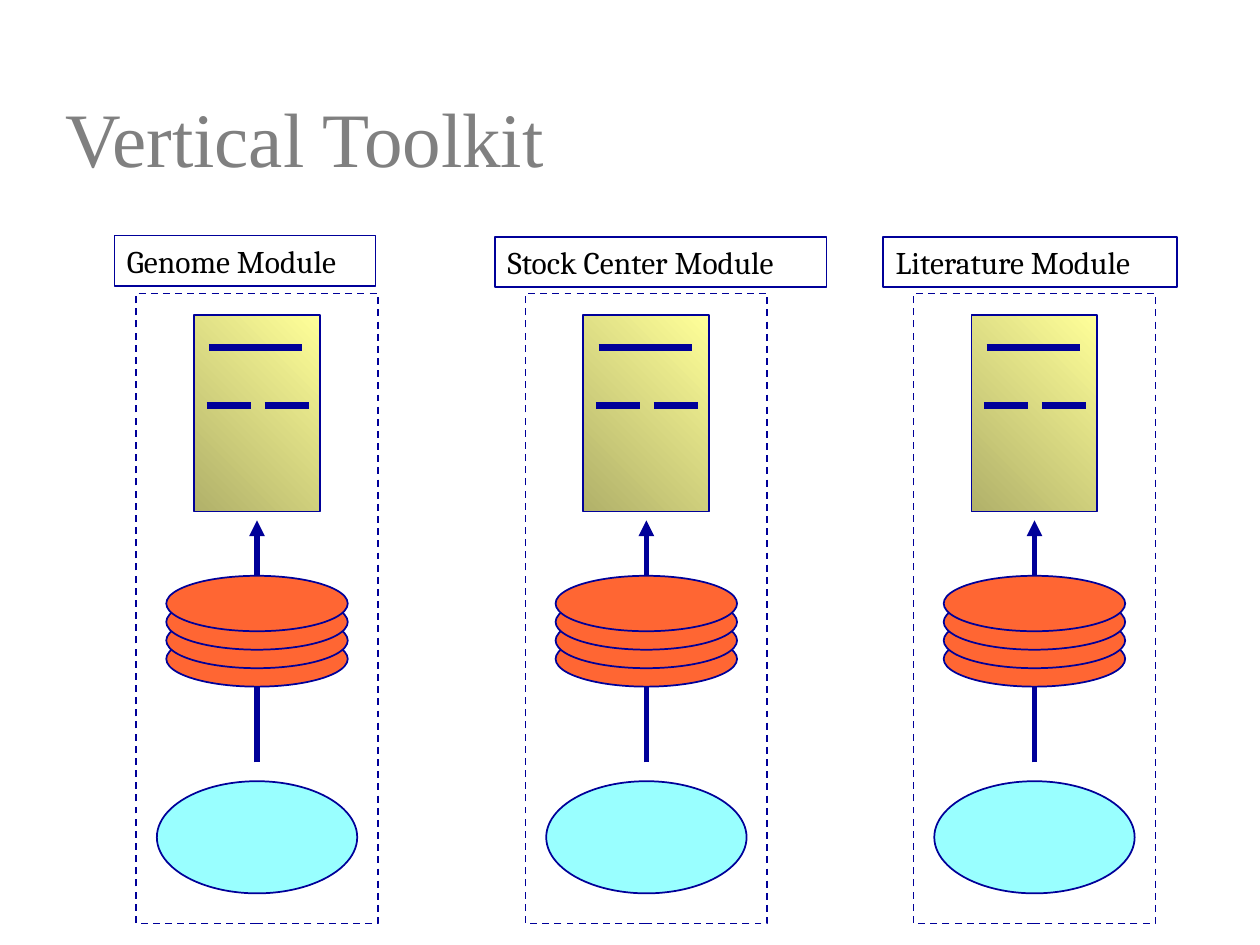
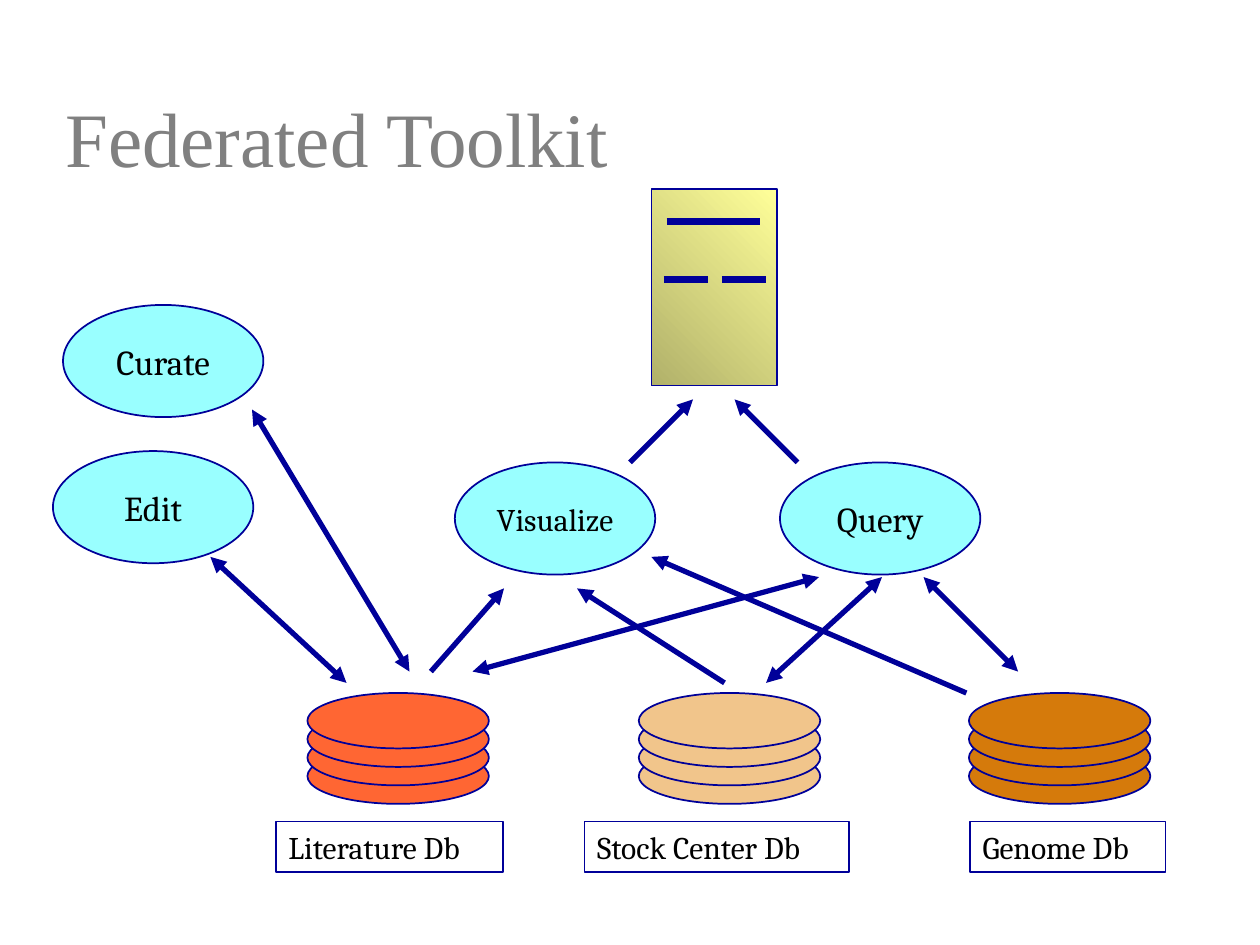
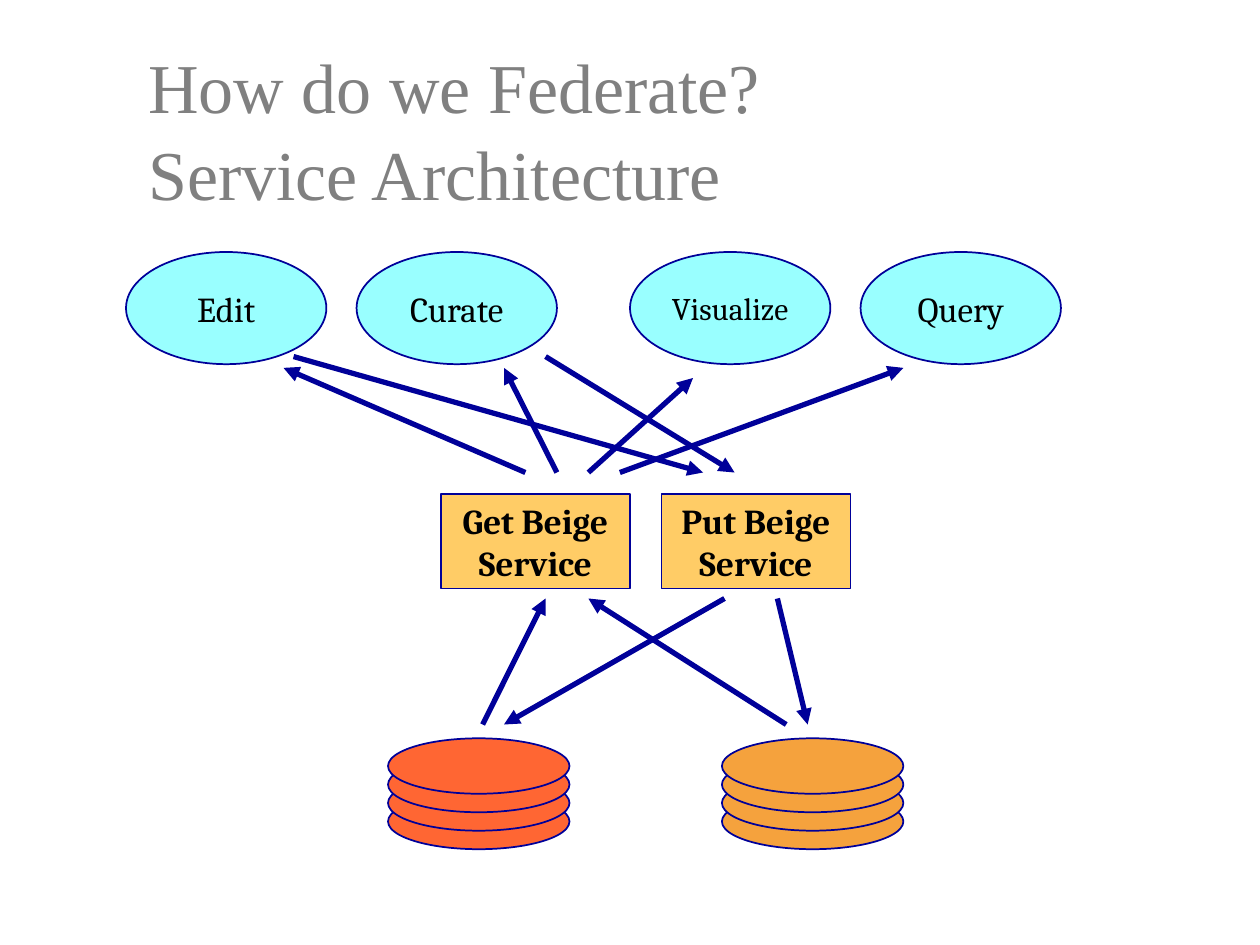
import pptx
import pptx.util
import pptx.dml.color
import pptx.enum.dml
import pptx.enum.shapes
import pptx.enum.text
import pptx.oxml
import pptx.oxml.ns

Inches = pptx.util.Inches
Pt = pptx.util.Pt
RGB = pptx.dml.color.RGBColor.from_string
MSO_SHAPE = pptx.enum.shapes.MSO_SHAPE
ANCHOR = pptx.enum.text.MSO_ANCHOR
ALIGN = pptx.enum.text.PP_ALIGN


class Theme:
    title_font, body_font = "Times New Roman", "Cambria"
    title_color, text_color, line_color = "808080", "000000", "000099"
    oval, service = "99FFFF", "FFCC66"
    red, sand, brown, orange = "FF6633", "F1C58B", "D57A0B", "F5A23D"
    server_light, server_dark = "FFFF99", "B1B16A"
    label_size, oval_size = 18, 20
    outline, arrow, stroke = 1, 3, 4
    title_spacing = 1.04


OVAL_W, OVAL_H = 1.59, 0.89
DISK_W, DISK_H, DISK_COUNT = 1.44, 0.44, 4
SERVER_W, SERVER_H = 1, 1.56
SERVER_STROKES = [(0.12, 0.86, 0.26), (0.1, 0.45, 0.72), (0.56, 0.91, 0.72)]


def add_box(s, kind, at, fill=None, text="", size=Theme.label_size,
            bold=False, centred=True):
    """Outlined shape, unfilled without a colour, with optional text."""
    sp = s.shapes.add_shape(kind, *map(Inches, at))
    sp.shadow.inherit = False
    sp.line.color.rgb = RGB(Theme.line_color)
    sp.line.width = Pt(Theme.outline)
    if fill:
        sp.fill.solid()
        sp.fill.fore_color.rgb = RGB(fill)
    else:
        sp.fill.background()
    if text:
        tf = sp.text_frame
        tf.text = text
        tf.word_wrap = not centred
        tf.vertical_anchor = ANCHOR.MIDDLE if centred else ANCHOR.TOP
        for p in tf.paragraphs:
            p.alignment = ALIGN.CENTER if centred else ALIGN.LEFT
            p.font.name = Theme.body_font
            p.font.size = Pt(size)
            p.font.bold = bold
            p.font.color.rgb = RGB(Theme.text_color)
    return sp


def add_line(s, points, width, ends=()):
    """Straight line; ends names the ends (headEnd, tailEnd) with arrowheads."""
    c = s.shapes.add_connector(pptx.enum.shapes.MSO_CONNECTOR.STRAIGHT,
                               *map(Inches, points))
    c.line.color.rgb = RGB(Theme.line_color)
    c.line.width = Pt(width)
    ln = c.line._get_or_add_ln()
    for end in ends:
        head = pptx.oxml.parse_xml(f'<a:{end} {pptx.oxml.ns.nsdecls("a")} type="triangle"/>')
        ln.append(head)
    effects = pptx.oxml.parse_xml(f'<a:effectLst {pptx.oxml.ns.nsdecls("a")}/>')
    ln.addnext(effects)


centers = [2.04, 5.13, 8.21]

# Arrows run from the first point to the second; two_way ones point at both.
slides = [
    dict(
        title=("Vertical Toolkit", 44, (0.42, 0.29, 8.75, 1.21)),
        frames=[(x - 0.96, 2.33, 1.92, 5) for x in centers],
        arrows=[(x, 6.05, x, 4.13) for x in centers],
        disks=[(x - DISK_W / 2, 4.57, Theme.red) for x in centers],
        servers=[(x - SERVER_W / 2, 2.5) for x in centers],
        ovals=[(x - OVAL_W / 2, 6.2, "", Theme.oval_size) for x in centers],
        labels=[(0.91, 1.87, 2.07, "Genome Module"),
                (3.93, 1.88, 2.63, "Stock Center Module"),
                (7.01, 1.88, 2.33, "Literature Module")],
    ),
    dict(
        title=("Federated Toolkit", 44, (0.42, 0.29, 8.75, 1.21)),
        arrows=[(5.75, 5.42, 4.58, 4.67), (7.67, 5.5, 5.17, 4.42),
                (6.33, 3.67, 5.83, 3.17), (5, 3.67, 5.5, 3.17),
                (3.42, 5.33, 4, 4.67)],
        two_way=[(3.25, 5.33, 2, 3.25), (2.75, 5.42, 1.67, 4.42),
                 (6.5, 4.58, 3.75, 5.33), (7, 4.58, 6.08, 5.42),
                 (7.33, 4.58, 8.08, 5.33)],
        disks=[(2.44, 5.5, Theme.red), (5.07, 5.5, Theme.sand),
               (7.69, 5.5, Theme.brown)],
        servers=[(5.17, 1.5)],
        ovals=[(3.61, 3.67, "Visualize", Theme.label_size),
               (6.19, 3.67, "Query", Theme.oval_size),
               (0.5, 2.42, "Curate", Theme.oval_size),
               (0.42, 3.58, "Edit", Theme.oval_size)],
        labels=[(2.19, 6.52, 1.8, "Literature Db"),
                (4.64, 6.52, 2.1, "Stock Center Db"),
                (7.7, 6.52, 1.55, "Genome Db")],
    ),
    dict(
        title=("How do we Federate?\nService Architecture", 40,
               (1.08, 0.33, 8.5, 1.42)),
        arrows=[(3.83, 5.75, 4.33, 4.75), (6.17, 4.75, 6.41, 5.75),
                (2.33, 2.83, 5.58, 3.75), (4.17, 3.75, 2.25, 2.92),
                (6.24, 5.75, 4.67, 4.75), (5.75, 4.75, 4, 5.75),
                (4.33, 2.83, 5.83, 3.75), (4.42, 3.75, 4, 2.92),
                (4.67, 3.75, 5.5, 3), (4.92, 3.75, 7.17, 2.92)],
        disks=[(3.08, 5.86, Theme.red), (5.73, 5.86, Theme.orange)],
        ovals=[(1, 2, "Edit", Theme.oval_size),
               (2.83, 2, "Curate", Theme.oval_size),
               (5, 2, "Visualize", Theme.label_size),
               (6.83, 2, "Query", Theme.oval_size)],
        services=[(3.5, "Get Beige\nService"), (5.25, "Put Beige\nService")],
    ),
]

prs = pptx.Presentation()
prs.slide_width, prs.slide_height = Inches(10), Inches(7.5)

for content in slides:
    s = prs.slides.add_slide(prs.slide_layouts[6])

    text, size, at = content["title"]
    tf = s.shapes.add_textbox(*map(Inches, at)).text_frame
    tf.word_wrap = True
    tf.vertical_anchor = ANCHOR.BOTTOM
    tf.text = text
    for p in tf.paragraphs:
        p.line_spacing = Theme.title_spacing
        p.font.name = Theme.title_font
        p.font.size = Pt(size)
        p.font.color.rgb = RGB(Theme.title_color)

    for at in content.get("frames", []):
        frame = add_box(s, MSO_SHAPE.RECTANGLE, at)
        frame.line.dash_style = pptx.enum.dml.MSO_LINE.DASH

    for points in content["arrows"]:
        add_line(s, points, Theme.arrow, ["tailEnd"])
    for points in content.get("two_way", []):
        add_line(s, points, Theme.arrow, ["headEnd", "tailEnd"])

    for x, y, color in content["disks"]:
        for i in reversed(range(DISK_COUNT)):
            top = y + i * DISK_H / (DISK_COUNT - 1)
            add_box(s, MSO_SHAPE.OVAL, (x, top, DISK_W, DISK_H), color)

    for x, y in content.get("servers", []):
        server = add_box(s, MSO_SHAPE.RECTANGLE, (x, y, SERVER_W, SERVER_H))
        server.fill.gradient()
        server.fill.gradient_angle = 225
        shades = (Theme.server_light, Theme.server_dark)
        for stop, color in zip(server.fill.gradient_stops, shades):
            stop.color.rgb = RGB(color)
        for left, right, down in SERVER_STROKES:
            add_line(s, (x + left, y + down, x + right, y + down), Theme.stroke)

    for x, y, text, size in content["ovals"]:
        add_box(s, MSO_SHAPE.OVAL, (x, y, OVAL_W, OVAL_H), Theme.oval, text, size)

    for x, text in content.get("services", []):
        add_box(s, MSO_SHAPE.RECTANGLE, (x, 3.92, 1.5, 0.75), Theme.service,
                text, Theme.oval_size, bold=True)

    for x, y, w, text in content.get("labels", []):
        add_box(s, MSO_SHAPE.RECTANGLE, (x, y, w, 0.4), text=text, centred=False)

prs.save("out.pptx")
